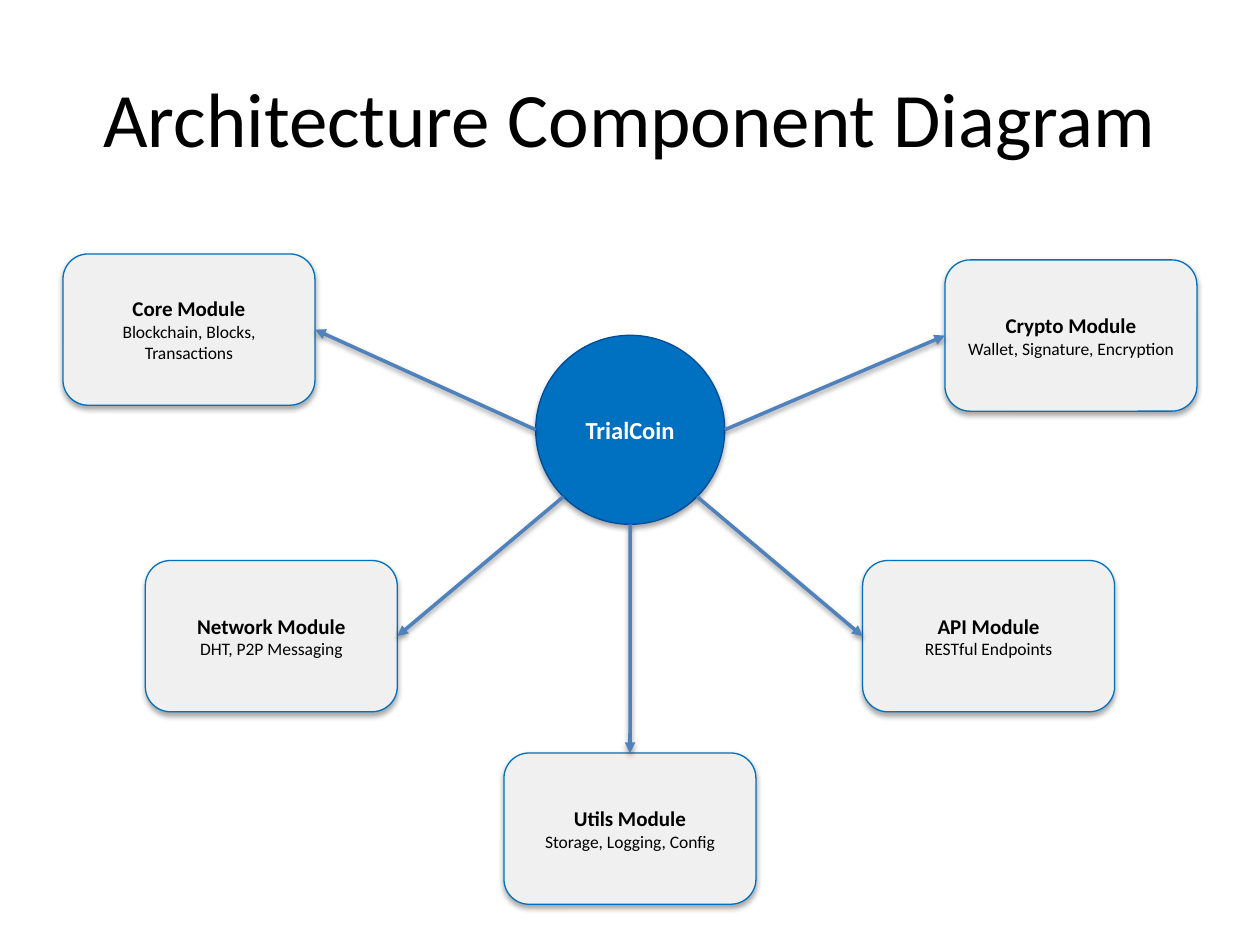
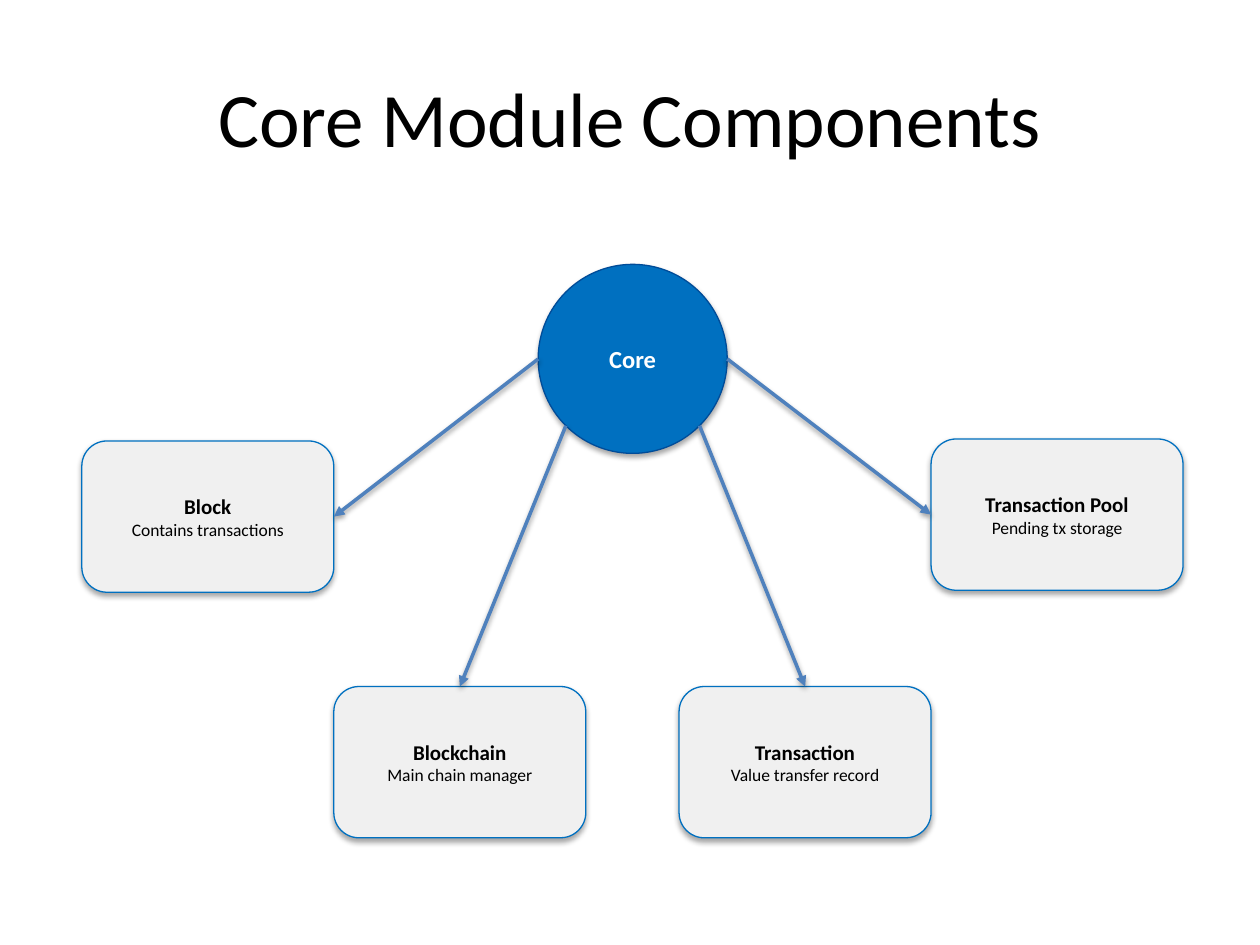
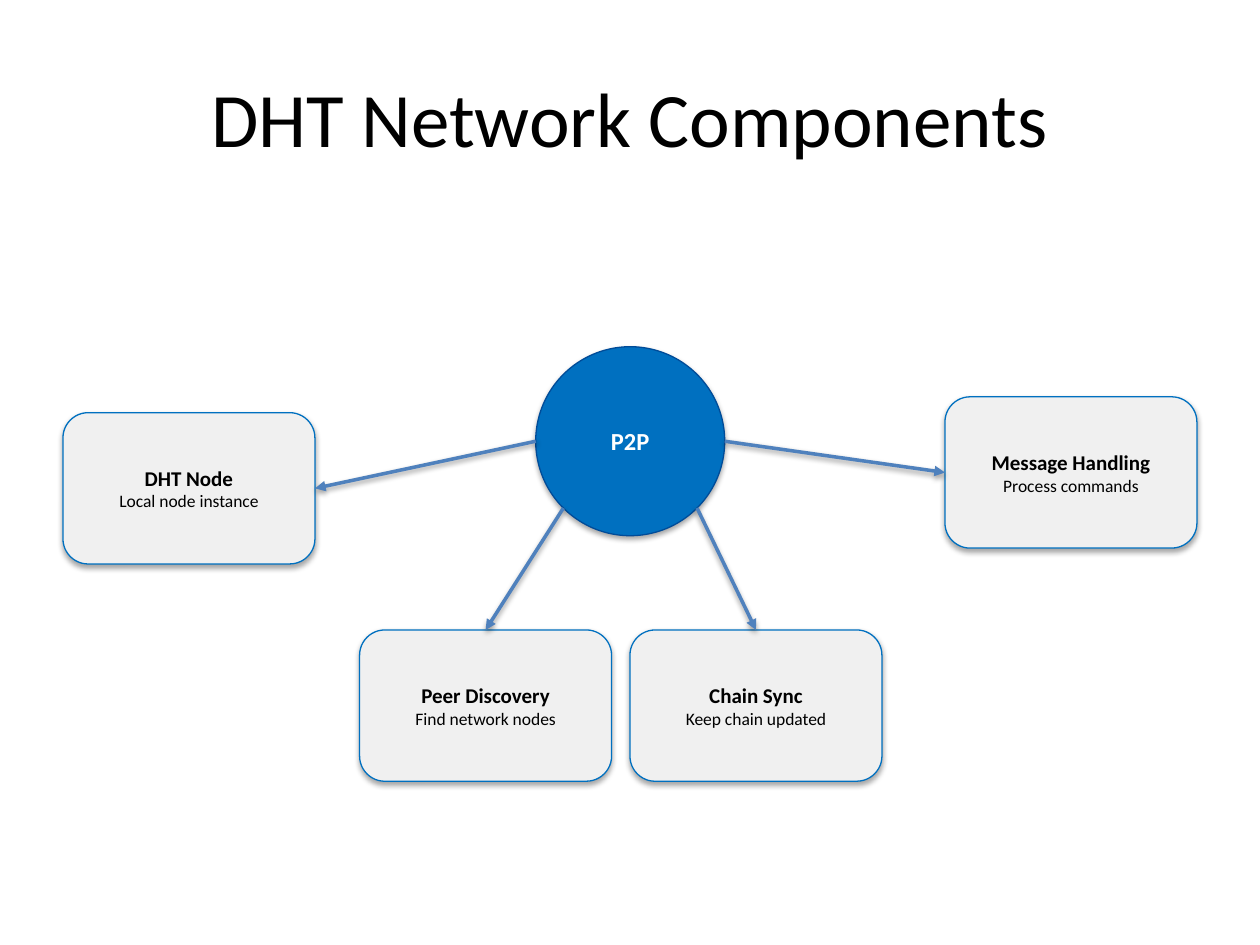
from math import sqrt

from lxml import etree
from pptx import Presentation
from pptx.dml.color import RGBColor
from pptx.enum import shapes, text
from pptx.oxml.ns import qn
from pptx.util import Cm, Pt

BLACK = RGBColor(0x00, 0x00, 0x00)
WHITE = RGBColor(0xFF, 0xFF, 0xFF)
BLUE = RGBColor(0x00, 0x70, 0xC0)
DARK_BLUE = RGBColor(0x00, 0x4C, 0x99)
ARROW_BLUE = RGBColor(0x4F, 0x81, 0xBD)
LIGHT_GREY = RGBColor(0xF0, 0xF0, 0xF0)

FONT = "Calibri"
TITLE_BOX = (1.27, 0.76, 22.86, 3.18)
HUB_SIZE = 3.81
MODULE_W, MODULE_H = 5.08, 3.05

# Directions from the centre of a shape to a point on its edge
DIAGONAL = 1 / sqrt(2)
TOP, BOTTOM = (0, -1), (0, 1)
LEFT, RIGHT = (-1, 0), (1, 0)
LOWER_LEFT, LOWER_RIGHT = (-DIAGONAL, DIAGONAL), (DIAGONAL, DIAGONAL)

# Each module: heading, detail, left, top, hub edge, module edge (cm)
DIAGRAMS = [
    ("Architecture Component Diagram", ("TrialCoin", 10.8, 6.76), [
        ("Core Module", "Blockchain, Blocks, Transactions", 1.27, 5.12, LEFT, RIGHT),
        ("Crypto Module", "Wallet, Signature, Encryption", 19.05, 5.24, RIGHT, LEFT),
        ("Network Module", "DHT, P2P Messaging", 2.93, 11.3, LOWER_LEFT, RIGHT),
        ("API Module", "RESTful Endpoints", 17.39, 11.3, LOWER_RIGHT, LEFT),
        ("Utils Module", "Storage, Logging, Config", 10.16, 15.18, BOTTOM, TOP),
    ]),
    ("Core Module Components", ("Core", 10.85, 5.33), [
        ("Blockchain", "Main chain manager", 6.73, 13.84, LOWER_LEFT, TOP),
        ("Block", "Contains transactions", 1.65, 8.89, LEFT, RIGHT),
        ("Transaction", "Value transfer record", 13.69, 13.84, LOWER_RIGHT, TOP),
        ("Transaction Pool", "Pending tx storage", 18.77, 8.85, RIGHT, LEFT),
    ]),
    ("DHT Network Components", ("P2P", 10.8, 6.99), [
        ("DHT Node", "Local node instance", 1.27, 8.32, LEFT, RIGHT),
        ("Peer Discovery", "Find network nodes", 7.25, 12.7, LOWER_LEFT, TOP),
        ("Message Handling", "Process commands", 19.05, 8, RIGHT, LEFT),
        ("Chain Sync", "Keep chain updated", 12.7, 12.7, LOWER_RIGHT, TOP),
    ]),
]


def add_shadow(sp, distance, opacity):
    """Add a soft black shadow below a shape whose fill and line are set."""
    effects = etree.SubElement(sp._element.spPr, qn("a:effectLst"))
    shadow = etree.SubElement(effects, qn("a:outerShdw"), blurRad=str(Pt(3.15)),
                              dist=str(Pt(distance)), dir="5400000", rotWithShape="0")
    color = etree.SubElement(shadow, qn("a:srgbClr"), val=str(BLACK))
    etree.SubElement(color, qn("a:alpha"), val=str(opacity * 1000))


def write_lines(sp, lines, color):
    """Fill a shape with centred lines, each given as (text, size, bold)."""
    tf = sp.text_frame
    tf.word_wrap = True
    tf.vertical_anchor = text.MSO_ANCHOR.MIDDLE
    for i, (words, size, bold) in enumerate(lines):
        p = tf.add_paragraph() if i else tf.paragraphs[0]
        p.text = words
        p.alignment = text.PP_ALIGN.CENTER
        p.font.name = FONT
        p.font.size = Pt(size)
        p.font.bold = bold
        p.font.color.rgb = color


def add_title(s, words, box):
    sp = s.shapes.add_textbox(*map(Cm, box))
    write_lines(sp, [(words, 44, False)], BLACK)


def add_node(s, kind, box, fill, outline, lines, color):
    sp = s.shapes.add_shape(kind, *map(Cm, box))
    sp.fill.solid()
    sp.fill.fore_color.rgb = fill
    sp.line.color.rgb = outline
    sp.line.width = Pt(0.75)
    add_shadow(sp, 1.8, 35)
    write_lines(sp, lines, color)


def edge_point(box, direction):
    left, top, width, height = box
    return (left + width / 2 * (1 + direction[0]),
            top + height / 2 * (1 + direction[1]))


def add_arrow(s, start, end):
    line = s.shapes.add_connector(shapes.MSO_CONNECTOR.STRAIGHT, *map(Cm, start + end))
    line.line.color.rgb = ARROW_BLUE
    line.line.width = Pt(2)
    etree.SubElement(line.line._get_or_add_ln(), qn("a:tailEnd"), type="triangle")
    add_shadow(line, 1.6, 38)


def add_diagram(s, hub, modules):
    """Draw a round hub, its modules, and an arrow from the hub to each one."""
    name, left, top = hub
    hub_box = (left, top, HUB_SIZE, HUB_SIZE)
    add_node(s, shapes.MSO_SHAPE.OVAL, hub_box, BLUE, DARK_BLUE,
             [(name, 14, True)], WHITE)
    arrows = []
    for heading, detail, left, top, hub_edge, module_edge in modules:
        box = (left, top, MODULE_W, MODULE_H)
        add_node(s, shapes.MSO_SHAPE.ROUNDED_RECTANGLE, box, LIGHT_GREY, BLUE,
                 [(heading, 12, True), (detail, 10, False)], BLACK)
        arrows.append((edge_point(hub_box, hub_edge), edge_point(box, module_edge)))
    for start, end in arrows:
        add_arrow(s, start, end)


def main():
    prs = Presentation()
    prs.slide_width, prs.slide_height = Cm(25.4), Cm(19.05)
    for title, hub, modules in DIAGRAMS:
        s = prs.slides.add_slide(prs.slide_layouts[6])
        add_title(s, title, TITLE_BOX)
        add_diagram(s, hub, modules)
    prs.save("out.pptx")


if __name__ == "__main__":
    main()
